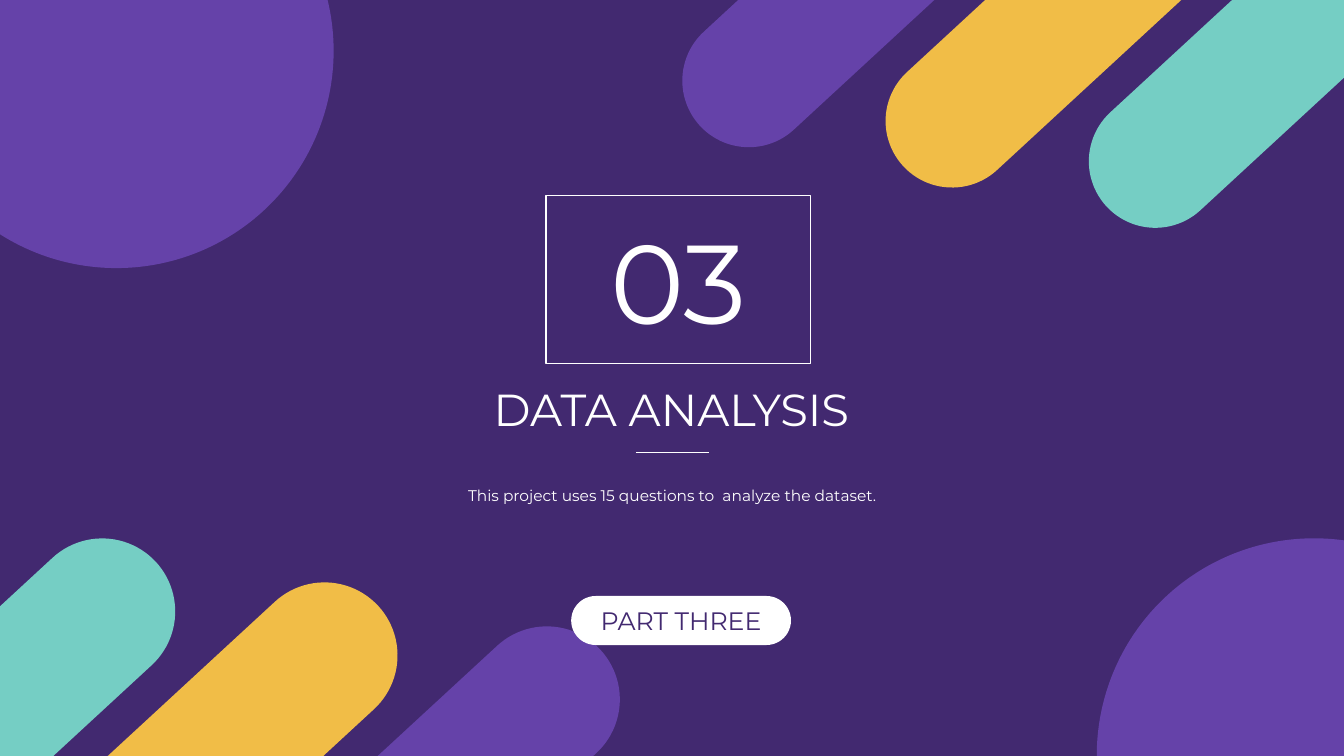
import pptx
import pptx.dml.color
import pptx.enum.shapes
import pptx.enum.text
import pptx.oxml
import pptx.util
from pptx.util import Pt

SHAPES = pptx.enum.shapes.MSO_SHAPE
ANCHORS = pptx.enum.text.MSO_ANCHOR
NIGHT, VIOLET, AMBER, MINT, WHITE = "422970", "6542A9", "F1BD47", "75CEC4", "FFFFFF"


def color(hex_text):
    return pptx.dml.color.RGBColor.from_string(hex_text)


class SectionSlide:
    """Holds the style and the current slide, and draws each kind of element."""

    font_name = "Montserrat"
    bar_angle = 317.3

    def __init__(self, presentation):
        self.slide = presentation.slides.add_slide(presentation.slide_layouts[5])
        fill = self.slide.background.fill
        fill.solid()
        fill.fore_color.rgb = color(NIGHT)

    def shape(self, kind, left, top, width, height, fill=None, line=None, parent=None):
        shapes = (parent or self.slide).shapes
        shape = shapes.add_shape(kind, Pt(left), Pt(top), Pt(width), Pt(height))
        shape.shadow.inherit = False
        if fill:
            shape.fill.solid()
            shape.fill.fore_color.rgb = color(fill)
        else:
            shape.fill.background()
        if line:
            shape.line.color.rgb = color(line)
            shape.line.width = Pt(1)
        else:
            shape.line.fill.background()
        if kind == SHAPES.ROUNDED_RECTANGLE:
            shape.adjustments[0] = 0.5
        return shape

    def bars(self, left, top, width, height, step_x, step_y, fills):
        group = self.slide.shapes.add_group_shape()
        for index, fill in enumerate(fills):
            bar = self.shape(SHAPES.ROUNDED_RECTANGLE, left + index * step_x,
                             top + index * step_y, width, height, fill, parent=group)
            bar.rotation = self.bar_angle

    def set_text(self, shape, text, size, fill=WHITE, anchor=ANCHORS.MIDDLE, spacing=1.0):
        frame = shape.text_frame
        frame.text = text
        frame.word_wrap = True
        frame.auto_size = pptx.enum.text.MSO_AUTO_SIZE.NONE
        frame.vertical_anchor = anchor
        paragraph = frame.paragraphs[0]
        paragraph.alignment = pptx.enum.text.PP_ALIGN.CENTER
        paragraph.line_spacing = spacing
        font = paragraph.runs[0].font
        font.name = self.font_name
        font.size = Pt(size)
        font.color.rgb = color(fill)

    def title(self, text, left, top, width, height, size):
        title = self.slide.shapes.title
        title.left, title.top = Pt(left), Pt(top)
        title.width, title.height = Pt(width), Pt(height)
        self.set_text(title, text, size, anchor=ANCHORS.TOP)

    def text(self, text, left, top, width, height, size, spacing):
        box = self.slide.shapes.add_textbox(Pt(left), Pt(top), Pt(width), Pt(height))
        self.set_text(box, text, size, anchor=ANCHORS.TOP, spacing=spacing)

    def rule(self, left, top, width):
        connector = self.slide.shapes.add_connector(
            pptx.enum.shapes.MSO_CONNECTOR.STRAIGHT,
            Pt(left), Pt(top), Pt(left + width), Pt(top))
        connector.line.color.rgb = color(WHITE)
        connector.line.width = Pt(0.5)
        properties = connector._element.spPr
        properties.append(pptx.oxml.parse_xml(
            '<a:effectLst xmlns:a="http://schemas.openxmlformats.org/drawingml/2006/main"/>'))


def main():
    presentation = pptx.Presentation()
    presentation.slide_width, presentation.slide_height = Pt(960), Pt(540)
    section = SectionSlide(presentation)

    for left, top in ((-72, -118.8), (783.4, 384.5)):
        section.shape(SHAPES.OVAL, left, top, 310.3, 310.3, VIOLET)
    section.bars(453.6, -76.3, 349.9, 95, 145.2, 28.8, (VIOLET, AMBER, MINT))
    section.bars(-220.3, 478.8, 382.3, 104.4, 158.8, 31.4, (MINT, AMBER, VIOLET))

    number = section.shape(SHAPES.RECTANGLE, 390, 139.5, 189, 120, line=WHITE)
    section.set_text(number, "03", 80)
    section.title("DATA ANALYSIS", 326.2, 269.3, 306.7, 46, 32)
    section.rule(454.3, 323.3, 51.8)
    section.text("This project uses 15 questions to  analyze the dataset.",
                 221.8, 337, 517, 27.4, 11, 1.5)
    label = section.shape(SHAPES.ROUNDED_RECTANGLE, 408, 425.7, 157, 35, WHITE)
    section.set_text(label, "PART THREE", 18, NIGHT)

    presentation.save("out.pptx")


if __name__ == "__main__":
    main()
